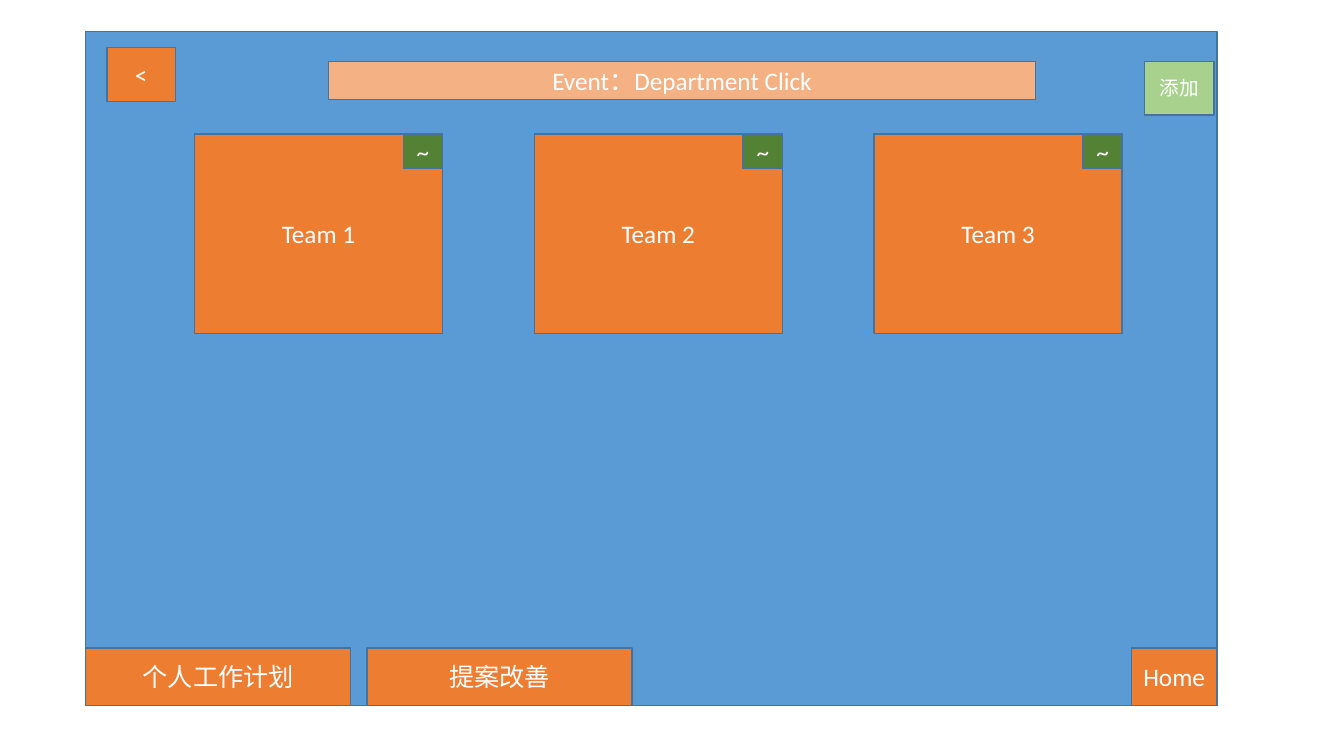
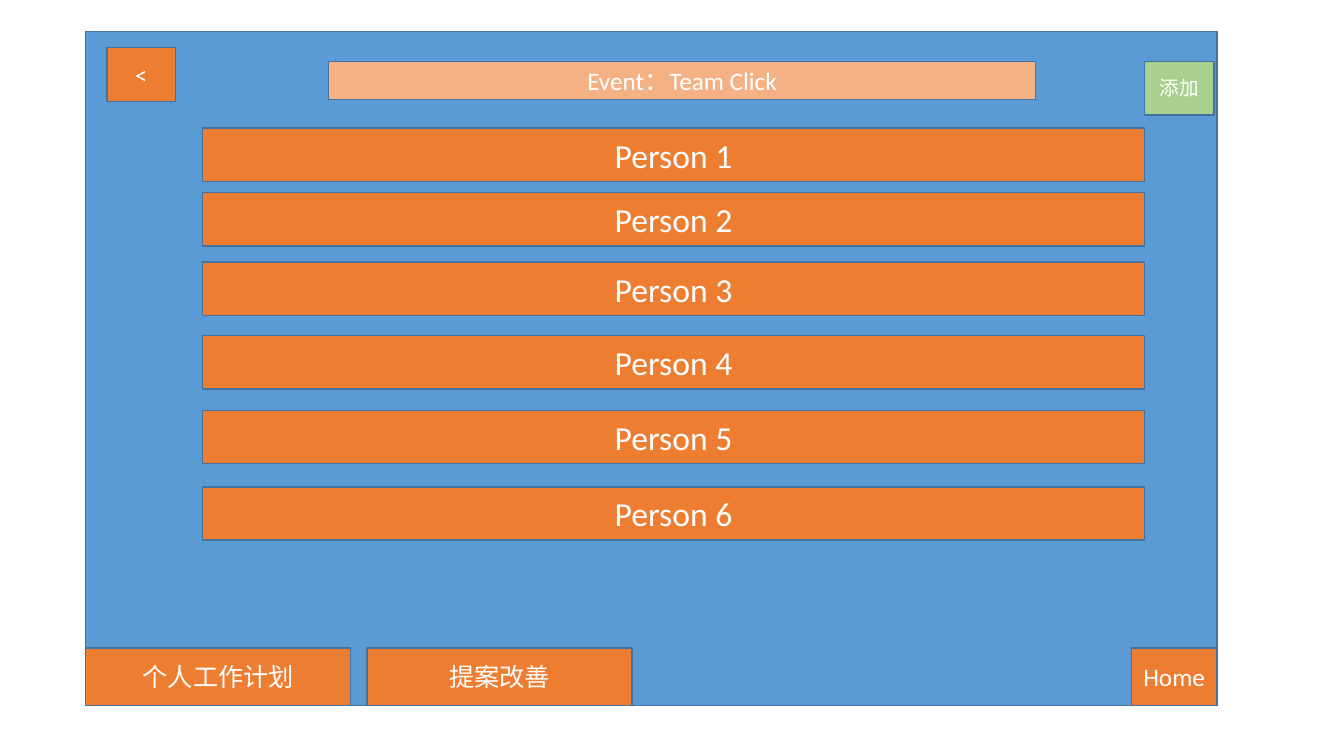
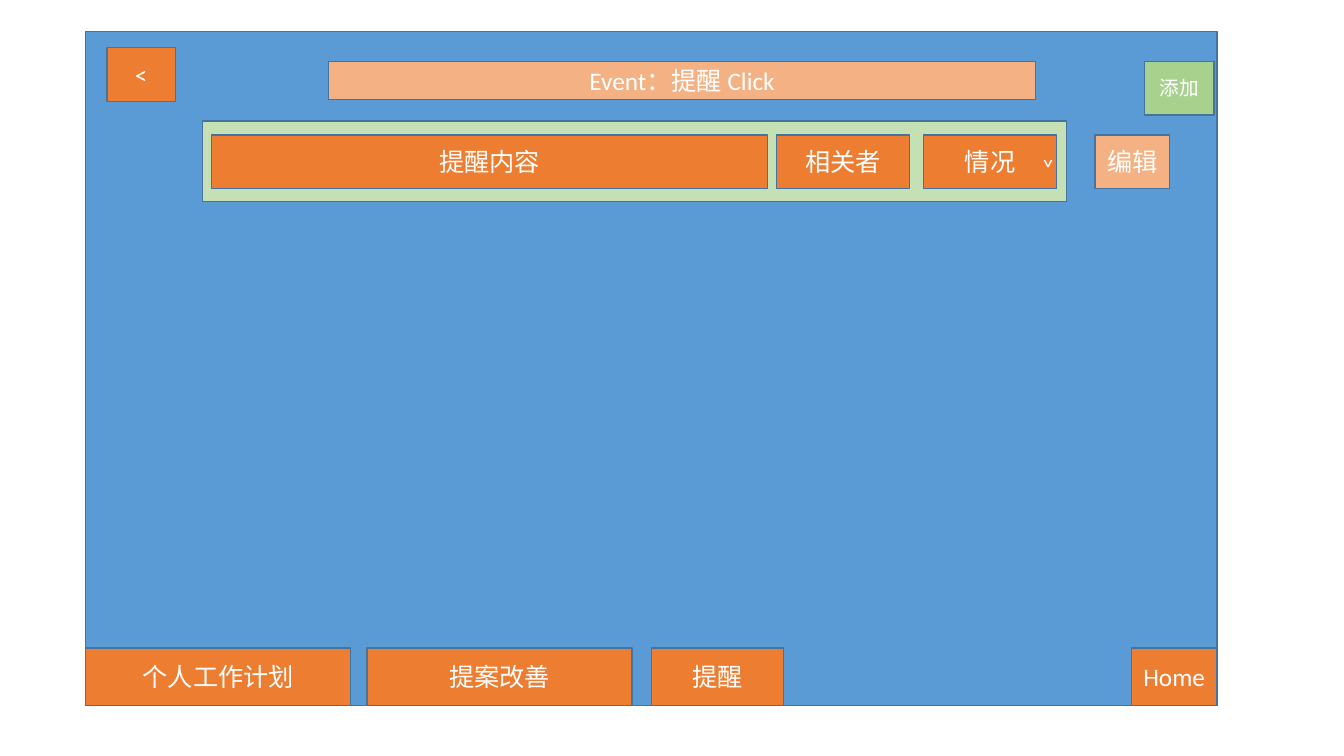
from pptx import Presentation
from pptx.dml.color import RGBColor
from pptx.enum.shapes import MSO_SHAPE
from pptx.enum.text import MSO_ANCHOR, PP_ALIGN
from pptx.util import Inches, Pt

FONT = "Calibri"
WHITE = "FFFFFF"
BLUE = "5B9BD5"
OUTLINE = "43739E"
ORANGE = "ED7D31"
PEACH = "F4B183"
DARK_GREEN = "548235"
GREEN = "A9D18E"
PALE_GREEN = "C5E0B4"

TEAMS = ["Team 1", "Team 2", "Team 3"]
TEAM_LEFT, TEAM_TOP, TEAM_PITCH = 1.93, 1.33, 3.37
TEAM_WIDTH, TEAM_HEIGHT = 2.46, 1.98
TAG_WIDTH, TAG_HEIGHT = 0.39, 0.34

PEOPLE = [
    ("Person 1", 1.27),
    ("Person 2", 1.91),
    ("Person 3", 2.6),
    ("Person 4", 3.33),
    ("Person 5", 4.07),
    ("Person 6", 4.83),
]

REMINDER_CELLS = [
    ("提醒内容", 2.1, 5.51, ORANGE),
    ("相关者", 7.7, 1.32, ORANGE),
    ("情况", 9.16, 1.32, ORANGE),
    ("编辑", 10.86, 0.74, PEACH),
]

FOOTER_TOP, FOOTER_HEIGHT = 6.43, 0.57
FOOTER_BUTTONS = [
    ("个人工作计划", 0.85, 2.63),
    ("提案改善", 3.64, 2.63),
    ("Home", 11.22, 0.85),
]


def color(value):
    return RGBColor.from_string(value)


def write(shape, text, size, align):
    para = shape.text_frame.paragraphs[0]
    para.text = text
    para.alignment = align
    para.font.name = FONT
    para.font.size = Pt(size)
    para.font.color.rgb = color(WHITE)


def add_box(page, left, top, width, height, fill, text="", size=18):
    box = page.shapes.add_shape(
        MSO_SHAPE.RECTANGLE, Inches(left), Inches(top), Inches(width), Inches(height)
    )
    box.shadow.inherit = False
    box.fill.solid()
    box.fill.fore_color.rgb = color(fill)
    box.line.color.rgb = color(OUTLINE)
    box.line.width = Pt(1)
    if text:
        box.text_frame.vertical_anchor = MSO_ANCHOR.MIDDLE
        write(box, text, size, PP_ALIGN.CENTER)
    return box


def add_footer_button(page, text, left, width):
    add_box(page, left, FOOTER_TOP, width, FOOTER_HEIGHT, ORANGE, text)


def add_screen(deck, event):
    page = deck.slides.add_slide(deck.slide_layouts[6])
    add_box(page, 0.85, 0.31, 11.22, 6.69, BLUE)
    add_box(page, 1.06, 0.47, 0.68, 0.54, ORANGE, "<")
    add_box(page, 3.26, 0.61, 7.01, 0.38, PEACH, f"Event：{event} Click")
    add_box(page, 11.35, 0.61, 0.69, 0.53, GREEN, "添加", 14)
    for button in FOOTER_BUTTONS:
        add_footer_button(page, *button)
    return page


def build_department(deck):
    page = add_screen(deck, "Department")
    for index, team in enumerate(TEAMS):
        left = TEAM_LEFT + index * TEAM_PITCH
        tag_left = left + TEAM_WIDTH - TAG_WIDTH
        add_box(page, left, TEAM_TOP, TEAM_WIDTH, TEAM_HEIGHT, ORANGE, team)
        add_box(page, tag_left, TEAM_TOP, TAG_WIDTH, TAG_HEIGHT, DARK_GREEN, "~")


def build_team(deck):
    page = add_screen(deck, "Team")
    for person, top in PEOPLE:
        add_box(page, 2.01, top, 9.34, 0.53, ORANGE, person, 24)


def build_reminder(deck):
    page = add_screen(deck, "提醒")
    add_box(page, 2.01, 1.2, 8.57, 0.8, PALE_GREEN)
    for text, left, width, fill in REMINDER_CELLS:
        add_box(page, left, 1.34, width, 0.53, fill, text)
    arrow = page.shapes.add_textbox(Inches(10.23), Inches(1.46), Inches(0.26), Inches(0.4))
    arrow.text_frame.word_wrap = True
    write(arrow, "˅", 18, PP_ALIGN.LEFT)
    add_footer_button(page, "提醒", 6.46, 1.31)


def main():
    deck = Presentation()
    deck.slide_width = Inches(13.33)
    deck.slide_height = Inches(7.5)
    build_department(deck)
    build_team(deck)
    build_reminder(deck)
    deck.save("out.pptx")


if __name__ == "__main__":
    main()
